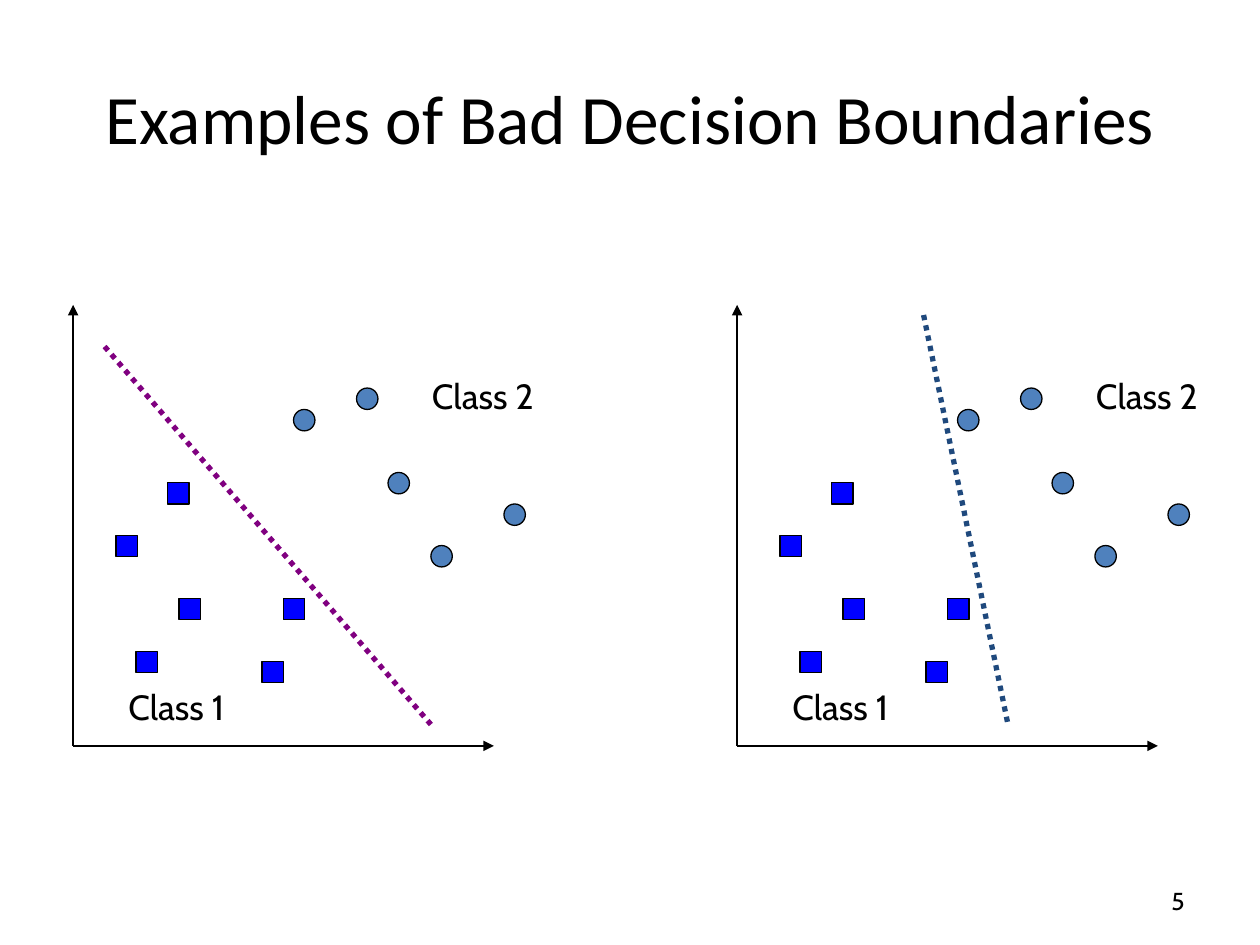
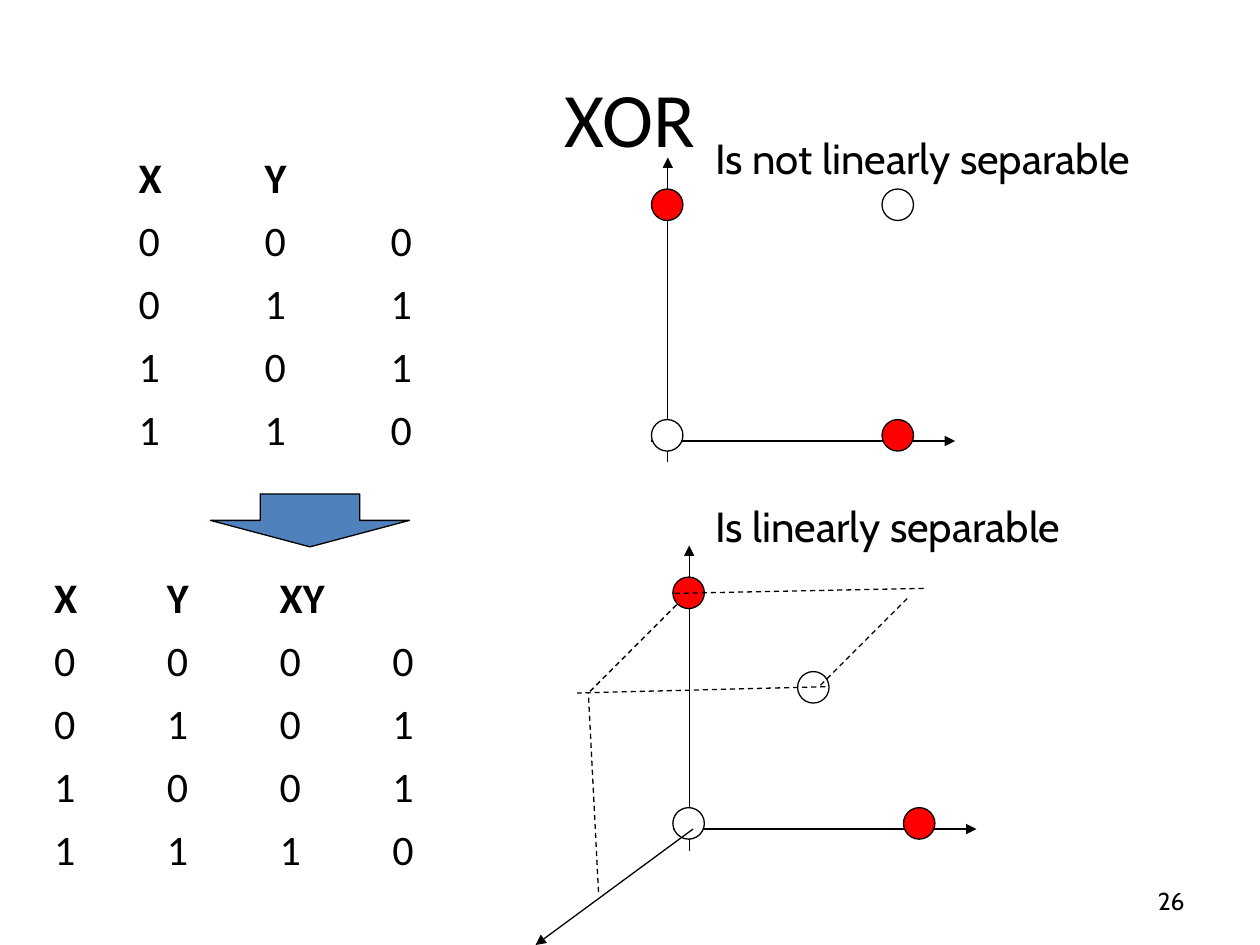
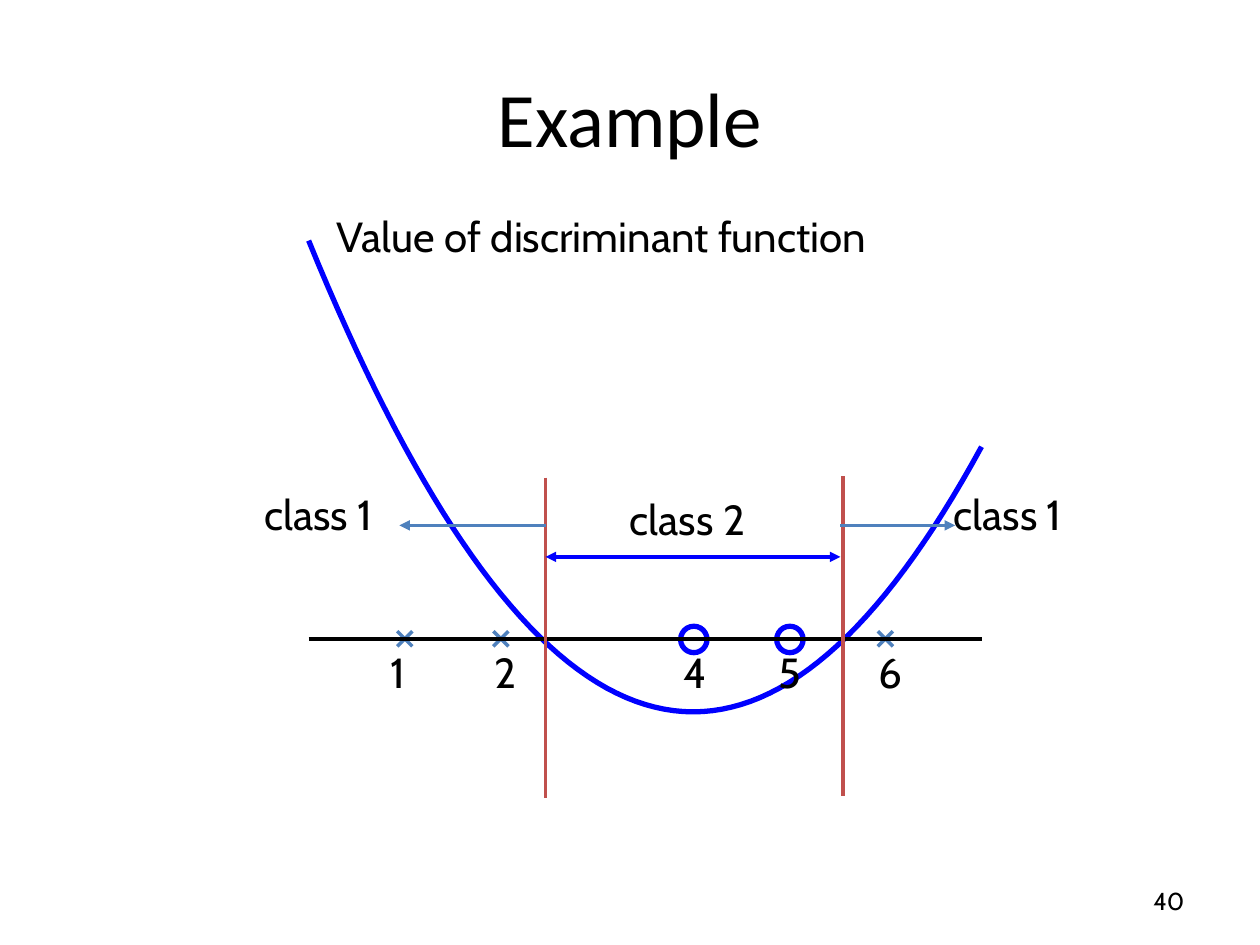
from dataclasses import dataclass
from typing import Optional

from pptx import Presentation
from pptx.dml.color import RGBColor
from pptx.enum.dml import MSO_LINE
from pptx.enum.shapes import MSO_CONNECTOR, MSO_SHAPE
from pptx.enum.text import MSO_ANCHOR, MSO_AUTO_SIZE, PP_ALIGN
from pptx.oxml.ns import qn
from pptx.oxml.xmlchemy import OxmlElement
from pptx.util import Inches, Pt

BLACK = RGBColor(0x00, 0x00, 0x00)
WHITE = RGBColor(0xFF, 0xFF, 0xFF)
RED = RGBColor(0xFF, 0x00, 0x00)
BLUE = RGBColor(0x00, 0x00, 0xFF)
STEEL = RGBColor(0x4F, 0x81, 0xBD)
NAVY = RGBColor(0x1F, 0x49, 0x7D)
PURPLE = RGBColor(0x80, 0x00, 0x80)
BRICK = RGBColor(0xC0, 0x50, 0x4D)
HEAD_FONT = "Calibri"
TEXT_FONT = "Cabin"


@dataclass
class Line:
    x1: float
    y1: float
    x2: float
    y2: float
    color: RGBColor = BLACK
    width: float = 0.75
    dash: Optional[MSO_LINE] = None
    head: bool = False
    tail: bool = False


@dataclass
class Mark:
    x: float
    y: float
    w: float
    h: float
    fill: Optional[RGBColor]
    kind: MSO_SHAPE = MSO_SHAPE.OVAL
    line: RGBColor = BLACK
    width: float = 0.75


@dataclass
class Label:
    text: str
    x: float
    y: float
    w: float
    h: float = 0.5
    size: float = 24


# Shared drawing functions
def style(par, size: float, font: str, bold: bool = False) -> None:
    for run in par.runs:
        run.font.size = Pt(size)
        run.font.name = font
        run.font.bold = bold
        run.font.color.rgb = BLACK


def draw_line(slide, spec: Line) -> None:
    ends = [Inches(v) for v in (spec.x1, spec.y1, spec.x2, spec.y2)]
    wire = slide.shapes.add_connector(MSO_CONNECTOR.STRAIGHT, *ends)
    wire.line.color.rgb = spec.color
    wire.line.width = Pt(spec.width)
    if spec.dash is not None:
        wire.line.dash_style = spec.dash
    props = wire.element.spPr
    for tag, shown in (("a:headEnd", spec.head), ("a:tailEnd", spec.tail)):
        if shown:
            end = OxmlElement(tag)
            end.set("type", "triangle")
            props.find(qn("a:ln")).append(end)
    props.append(OxmlElement("a:effectLst"))


def draw_mark(slide, mark: Mark) -> None:
    box = [Inches(v) for v in (mark.x, mark.y, mark.w, mark.h)]
    shape = slide.shapes.add_shape(mark.kind, *box)
    shape.shadow.inherit = False
    if mark.fill is None:
        shape.fill.background()
    else:
        shape.fill.solid()
        shape.fill.fore_color.rgb = mark.fill
    shape.line.color.rgb = mark.line
    shape.line.width = Pt(mark.width)


def draw_label(slide, label: Label) -> None:
    box = [Inches(v) for v in (label.x, label.y, label.w, label.h)]
    frame = slide.shapes.add_textbox(*box).text_frame
    frame.text = label.text
    frame.word_wrap = False
    frame.auto_size = MSO_AUTO_SIZE.SHAPE_TO_FIT_TEXT
    style(frame.paragraphs[0], label.size, TEXT_FONT)


def new_slide(deck, title: str, page: int, size: float = 44):
    slide = deck.slides.add_slide(deck.slide_layouts[5])
    head = slide.shapes.title
    head.left, head.top = Inches(0.5), Inches(0.3)
    head.width, head.height = Inches(9), Inches(1.25)
    frame = head.text_frame
    frame.text = title
    frame.auto_size = MSO_AUTO_SIZE.NONE
    frame.vertical_anchor = MSO_ANCHOR.MIDDLE
    frame.paragraphs[0].alignment = PP_ALIGN.CENTER
    style(frame.paragraphs[0], size, HEAD_FONT)

    foot = slide.shapes.add_textbox(
        Inches(7.17), Inches(6.95), Inches(2.33), Inches(0.4)).text_frame
    foot.text = str(page)
    foot.word_wrap = True
    foot.vertical_anchor = MSO_ANCHOR.MIDDLE
    foot.paragraphs[0].alignment = PP_ALIGN.RIGHT
    style(foot.paragraphs[0], 14, TEXT_FONT)
    return slide


# Slide 1: two scatter plots with the same points
ROUNDS = [(2.83, 3.08), (3.08, 3.75), (4, 4), (2.33, 3.25), (3.42, 4.33)]
SQUARES = [(0.92, 4.25), (2.25, 4.75), (2.08, 5.25),
           (1.42, 4.75), (1.08, 5.17), (1.33, 3.83)]


def draw_plot(slide, dx: float, border: Line) -> None:
    for x, y in ((0.58, 2.42), (3.92, 5.92)):
        draw_line(slide, Line(0.58 + dx, 5.92, x + dx, y, width=1, tail=True))
    for spots, kind, fill in ((ROUNDS, MSO_SHAPE.OVAL, STEEL),
                              (SQUARES, MSO_SHAPE.RECTANGLE, BLUE)):
        for x, y in spots:
            draw_mark(slide, Mark(x + dx, y, 0.17, 0.17, fill, kind))
    draw_label(slide, Label("Class 1", 0.92 + dx, 5.39, 1.06, 0.43, 20))
    draw_label(slide, Label("Class 2", 3.33 + dx, 2.92, 1.06, 0.43, 20))
    draw_line(slide, border)


def add_bounds(deck) -> None:
    slide = new_slide(deck, "Examples of Bad Decision Boundaries", 5, 39.6)
    dots = MSO_LINE.ROUND_DOT
    draw_plot(slide, 0, Line(0.83, 2.75, 3.42, 5.75, PURPLE, 3, dots))
    draw_plot(slide, 5.27, Line(7.33, 2.5, 8, 5.75, NAVY, 3, dots))


# Slide 2: truth tables and their points
def draw_table(slide, x: float, y: float, width: float,
               rows: list[list[str]]) -> None:
    table = slide.shapes.add_table(
        len(rows), len(rows[0]), Inches(x), Inches(y),
        Inches(width), Inches(0.5 * len(rows))).table
    table.first_row = table.horz_banding = False
    for r, row in enumerate(rows):
        for c, text in enumerate(row):
            cell = table.cell(r, c)
            cell.fill.background()
            if text:
                cell.text = text
                style(cell.text_frame.paragraphs[0], 24, HEAD_FONT, r == 0)


def draw_axes(slide, dx: float, dy: float, last: tuple[float, float]) -> None:
    left, base = 5.17 + dx, 3.33 + dy
    draw_line(slide, Line(5.3 + dx, 3.67 + dy, 5.3 + dx, 1.25 + dy, tail=True))
    draw_line(slide, Line(left, 3.5 + dy, 7.58 + dx, 3.5 + dy, tail=True))
    for x, y, fill in ((left, base, WHITE), (left + 1.83, base, RED),
                       (left, base - 1.83, RED), (*last, WHITE)):
        draw_mark(slide, Mark(x, y, 0.25, 0.25, fill))


def add_xor(deck) -> None:
    slide = new_slide(deck, "XOR", 26)
    pairs = [(x, y) for x in (0, 1) for y in (0, 1)]
    flat = [[str(x), str(y), str(x ^ y)] for x, y in pairs]
    deep = [[str(x), str(y), str(x * y), str(x ^ y)] for x, y in pairs]
    draw_table(slide, 1, 1.17, 3, [["X", "Y", ""], *flat])
    draw_axes(slide, 0, 0, (7, 1.5))
    draw_label(slide, Label("Is not linearly separable", 5.58, 1, 3.76))
    draw_mark(slide, Mark(1.67, 3.92, 1.58, 0.42, STEEL, MSO_SHAPE.DOWN_ARROW))
    draw_table(slide, 0.33, 4.5, 3.58, [["X", "Y", "XY", ""], *deep])
    draw_axes(slide, 0.17, 3.08, (6.33, 5.33))
    draw_line(slide, Line(5.5, 6.58, 4.25, 7.5, tail=True))
    # Dashed guides of the third dimension
    for ends in ((6.55, 5.45, 4.58, 5.5), (5.37, 4.8, 4.67, 5.5),
                 (4.75, 7.08, 4.67, 5.5), (7.33, 4.67, 5.33, 4.71),
                 (7.2, 4.75, 6.5, 5.45)):
        draw_line(slide, Line(*ends, dash=MSO_LINE.DASH))
    draw_label(slide, Label("Is linearly separable", 5.58, 3.92, 3.17))


# Slide 3: discriminant function over the values 0 to 7
LEFT, RIGHT, AXIS = 2.45, 7.79, 5.07
UNIT = (RIGHT - LEFT) / 7


def spot(value: float) -> float:
    return LEFT + UNIT * value


def draw_curve(slide) -> None:
    low, rise = 5.65, 3.74
    points = [(Inches(spot(n / 10)),
               Inches(low - rise * ((n / 10 - 4) / 4) ** 2))
              for n in range(71)]
    pen = slide.shapes.build_freeform(*points[0])
    pen.add_line_segments(points[1:], close=False)
    curve = pen.convert_to_shape()
    curve.shadow.inherit = False
    curve.fill.background()
    curve.line.color.rgb = BLUE
    curve.line.width = Pt(3)


def add_example(deck) -> None:
    slide = new_slide(deck, "Example", 40)
    arm = 0.06
    for value in (1, 2, 6):
        x = spot(value)
        for dy in (-arm, arm):
            draw_line(slide, Line(x - arm, AXIS + dy, x + arm, AXIS - dy,
                                  STEEL, 2))
    for value in (4, 5):
        draw_mark(slide, Mark(spot(value) - 0.1, AXIS - 0.1, 0.21, 0.21, None,
                              line=BLUE, width=3))
    draw_curve(slide)
    draw_line(slide, Line(LEFT, AXIS, RIGHT, AXIS, width=0))
    draw_label(slide, Label("Value of discriminant function",
                            2.57, 1.62, 4.57))
    for text, x in (("1", 3), ("2", 3.83), ("4", 5.33),
                    ("5", 6.08), ("6", 6.87)):
        draw_label(slide, Label(text, x, 5.08, 0.38))
    # Class limits and ranges
    for x, top in ((4.33, 3.79), (6.69, 3.78)):
        draw_line(slide, Line(x, top, x, top + 2.54, BRICK, 2))
    for text, x, y in (("class 2", 4.9, 3.87), ("class 1", 7.47, 3.83),
                       ("class 1", 2, 3.83)):
        draw_label(slide, Label(text, x, y, 1.19))
    for start, end in ((4.33, 3.17), (6.67, 7.58)):
        draw_line(slide, Line(start, 4.17, end, 4.17, STEEL, 2, tail=True))
    draw_line(slide, Line(4.33, 4.42, 6.67, 4.42, BLUE, 2,
                          head=True, tail=True))


def main() -> None:
    deck = Presentation()
    deck.slide_width, deck.slide_height = Inches(10), Inches(7.5)
    add_bounds(deck)
    add_xor(deck)
    add_example(deck)
    deck.save("out.pptx")


if __name__ == "__main__":
    main()
